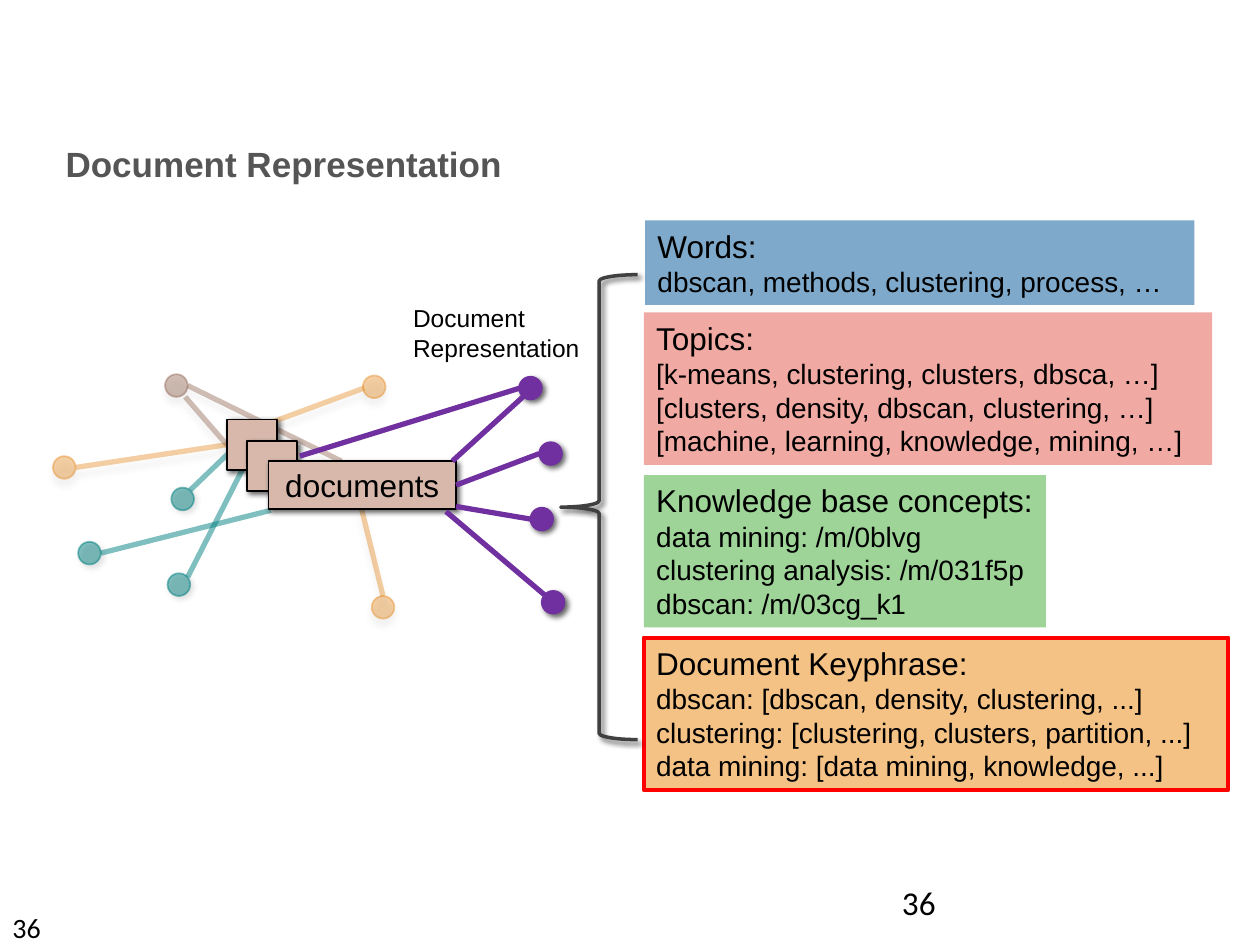
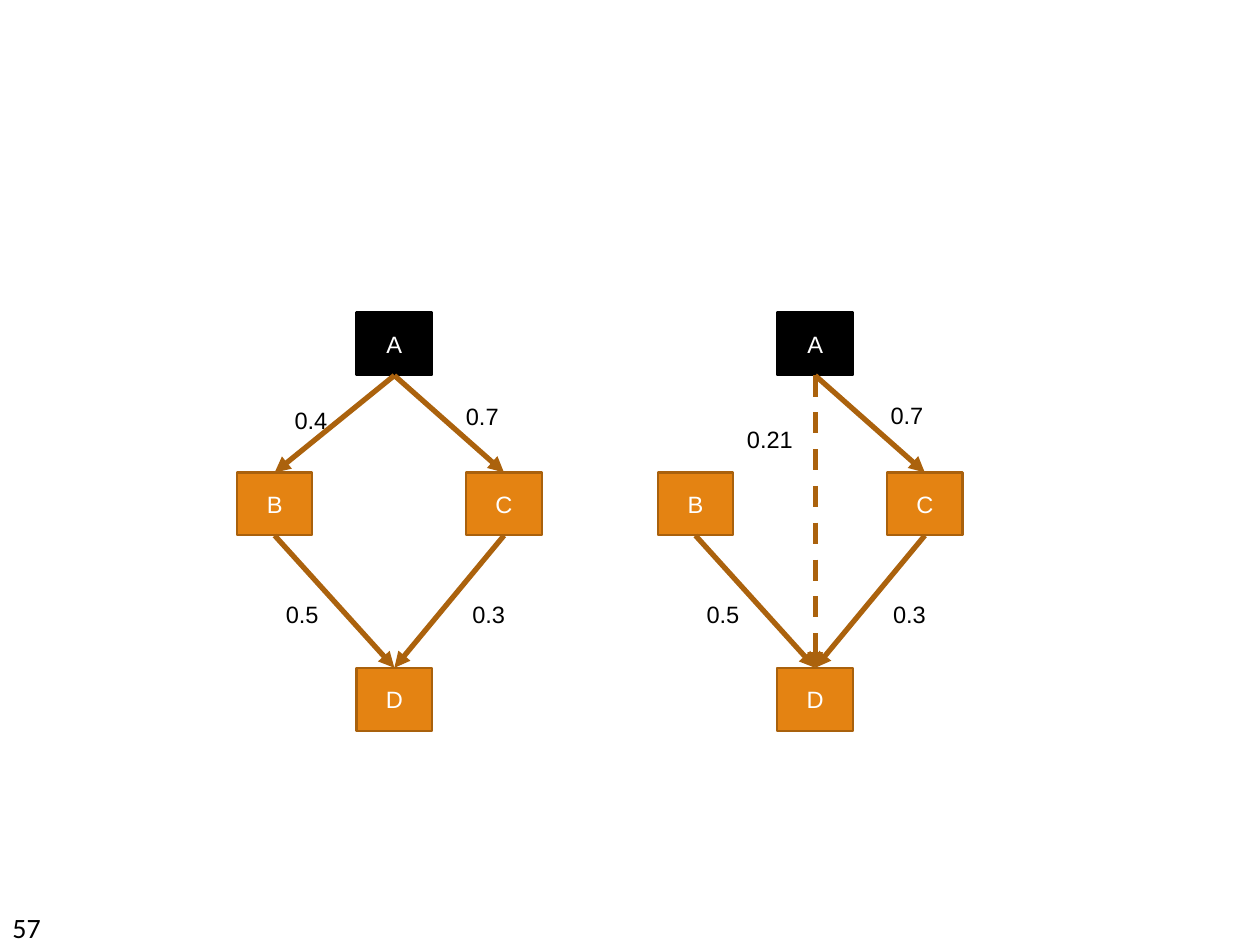
from lxml import etree
from pptx import Presentation
from pptx import util as u
from pptx.dml.color import RGBColor
from pptx.enum import dml, shapes, text
from pptx.oxml.ns import qn

BLACK, WHITE, GREY, RED = "000000", "FFFFFF", "555555", "FF0000"
ORANGE, ORANGE_EDGE, ORANGE_ARROW = "E48312", "A9610D", "AB620D"
TEAL, BROWN, PURPLE, SAND = "008080", "865640", "7030A0", "D7B8AB"
STRONG_SHADOW = (60, 3, 2, 45)
SOFT_SHADOW = (12, 4, 4, 90)
TEAL_SHADOW = (21, 3, 2, 45)
DOT = 0.18


def rgb(hex_color):
    return RGBColor.from_string(hex_color)


def write(frame, content, size=18, rest_size=None, color=BLACK, font="Arial", bold=False,
          align=text.PP_ALIGN.LEFT, anchor=text.MSO_ANCHOR.TOP, wrap=True):
    frame.auto_size = text.MSO_AUTO_SIZE.NONE
    frame.word_wrap = wrap
    frame.vertical_anchor = anchor
    for index, line in enumerate(content.split("\n")):
        paragraph = frame.paragraphs[0] if index == 0 else frame.add_paragraph()
        paragraph.alignment = align
        run = paragraph.add_run()
        run.text = line
        run.font.size = u.Pt(rest_size if index and rest_size else size)
        run.font.name = font
        run.font.bold = bold
        run.font.color.rgb = rgb(color)


class SlideBuilder:
    def __init__(self):
        self.deck = Presentation()
        self.deck.slide_width, self.deck.slide_height = u.Inches(10), u.Inches(7.5)
        self.slide = None

    def start(self, layout, page):
        self.slide = self.deck.slides.add_slide(self.deck.slide_layouts[layout])
        self.label(page, 0, 7.18, 0.48, 0.3, size=16, font="Calibri")

    def title(self, content, *place):
        heading = self.slide.shapes.title
        heading.left, heading.top, heading.width, heading.height = map(u.Inches, place)
        write(heading.text_frame, content, size=20, color=GREY, bold=True, wrap=False)

    def label(self, content, *place, **style):
        box = self.slide.shapes.add_textbox(*map(u.Inches, place))
        write(box.text_frame, content, **style)

    def finish(self, item, alphas, shadow):
        properties = item.element.spPr
        for color, alpha in zip(properties.iter(qn("a:srgbClr")), alphas):
            etree.SubElement(color, qn("a:alpha"), val=str(alpha * 1000))
        effects = properties.find(qn("a:effectLst"))
        if effects is None:
            effects = etree.SubElement(properties, qn("a:effectLst"))
        if shadow:
            opacity, blur, distance, angle = shadow
            outer = etree.SubElement(effects, qn("a:outerShdw"), blurRad=str(u.Pt(blur)),
                                     dist=str(u.Pt(distance)), dir=str(angle * 60000),
                                     rotWithShape="0")
            tint = etree.SubElement(outer, qn("a:srgbClr"), val=BLACK)
            etree.SubElement(tint, qn("a:alpha"), val=str(opacity * 1000))

    def shape(self, kind, *place, fill=None, line=None, width=1, alphas=(), shadow=None):
        item = self.slide.shapes.add_shape(kind, *map(u.Inches, place))
        item.shadow.inherit = False
        if fill:
            item.fill.solid()
            item.fill.fore_color.rgb = rgb(fill)
        else:
            item.fill.background()
        if line:
            item.line.color.rgb = rgb(line)
            item.line.width = u.Pt(width)
        else:
            item.line.fill.background()
        self.finish(item, alphas, shadow)
        return item

    def box(self, content, *place, size=18, color=BLACK, **look):
        item = self.shape(shapes.MSO_SHAPE.RECTANGLE, *place, **look)
        if content:
            write(item.text_frame, content, size=size, color=color,
                  align=text.PP_ALIGN.CENTER, anchor=text.MSO_ANCHOR.MIDDLE)

    def card(self, content, *place, **look):
        item = self.shape(shapes.MSO_SHAPE.RECTANGLE, *place, **look)
        item.text_frame.margin_right = 0
        write(item.text_frame, content, size=18, rest_size=16)

    def dot(self, left, top, color, alphas=(), shadow=STRONG_SHADOW):
        self.shape(shapes.MSO_SHAPE.OVAL, left, top, DOT, DOT, fill=color, line=color,
                   alphas=alphas, shadow=shadow)

    def line(self, start, end, color, alphas=(), shadow=None, dashed=False, arrow=False):
        item = self.slide.shapes.add_connector(shapes.MSO_CONNECTOR.STRAIGHT,
                                               *map(u.Inches, (*start, *end)))
        item.line.color.rgb = rgb(color)
        item.line.width = u.Pt(3)
        if dashed:
            item.line.dash_style = dml.MSO_LINE.DASH
        if arrow:
            etree.SubElement(item.element.spPr.find(qn("a:ln")), qn("a:tailEnd"), type="triangle")
        self.finish(item, alphas, shadow)


FADED_NETWORK = [
    (ORANGE, (38, 38), SOFT_SHADOW, SOFT_SHADOW,
     [(2.95, 4.73), (2.88, 2.98), (0.42, 3.62)],
     [((3.04, 4.73), (2.87, 4.04)), ((1.8, 3.53), (0.6, 3.71)), ((2.89, 3.08), (2.16, 3.35))]),
    (TEAL, (48, 50), TEAL_SHADOW, None,
     [(1.36, 3.87), (1.33, 4.55), (0.62, 4.3)],
     [((1.49, 4.58), (2.09, 3.4)), ((1.51, 3.89), (2.04, 3.38)), ((0.8, 4.39), (2.15, 4.05))]),
    (BROWN, (39, 39), SOFT_SHADOW, SOFT_SHADOW,
     [(1.31, 2.97)],
     [((1.47, 3.15), (1.8, 3.53)), ((1.49, 3.06), (2.71, 3.66))]),
]
REPRESENTATION_DOTS = [(4.12, 2.99), (4.28, 3.51), (4.21, 4.03), (4.3, 4.69)]
REPRESENTATION_LINES = [
    ((4.15, 3.15), (3.59, 3.66)),
    ((4.28, 3.6), (3.62, 3.85)),
    ((4.21, 4.12), (3.62, 4.02)),
    ((4.32, 4.72), (3.54, 4.06)),
    ((4.16, 3.07), (2.38, 3.62)),
]
REPRESENTATION_CARDS = [
    ("Words:\ndbscan, methods, clustering, process, …",
     (5.12, 1.75, 4.36, 0.67), dict(fill="7EA9CA")),
    ("Topics:\n[k-means, clustering, clusters, dbsca, …]\n"
     "[clusters, density, dbscan, clustering, …]\n[machine, learning, knowledge, mining, …]",
     (5.11, 2.48, 4.51, 1.21), dict(fill="F0AAA3")),
    ("Knowledge base concepts:\ndata mining: /m/0blvg\n"
     "clustering analysis: /m/031f5p\ndbscan: /m/03cg_k1",
     (5.11, 3.77, 3.19, 1.21), dict(fill="9ED498")),
    ("Document Keyphrase:\ndbscan: [dbscan, density, clustering, ...]\n"
     "clustering: [clustering, clusters, partition, ...]\n"
     "data mining: [data mining, knowledge, ...]",
     (5.11, 5.06, 4.64, 1.21), dict(fill="F3B56C", line=RED, width=2.25, alphas=(82,))),
]

NODE_WIDTH, NODE_HEIGHT, GRAPH_TOP = 0.6, 0.5, 2.48
NODES = {"A": (0.95, 0), "B": (0, 1.27), "C": (1.82, 1.27), "D": (0.95, 2.82)}
LOWER_EDGES = [("BD", "0.5", 0.29, 2.23), ("CD", "0.3", 1.77, 2.23)]
GRAPHS = [
    (1.88, [("AB", "0.4", 0.36, 0.69), ("AC", "0.7", 1.72, 0.66)] + LOWER_EDGES),
    (5.22, LOWER_EDGES + [("AD", "0.21", 0.61, 0.84), ("AC", "0.7", 1.75, 0.65)]),
]


def document_representation(builder):
    builder.start(5, "36")
    builder.label("36", 7.06, 6.95, 2.25, 0.4, size=19, font="Calibri")
    builder.title("Document Representation", 0.42, 1.08, 3.69, 0.44)
    for color, alphas, dot_shadow, line_shadow, dots, links in FADED_NETWORK:
        for place in dots:
            builder.dot(*place, color, alphas, dot_shadow)
        for start, end in links:
            builder.line(start, end, color, alphas[1:], line_shadow)
    for content, *place in [("", 1.8, 3.33, 0.4, 0.4), ("", 1.96, 3.5, 0.4, 0.4),
                            ("documents", 2.13, 3.66, 1.49, 0.38)]:
        builder.box(content, *place, fill=SAND, line=BLACK, shadow=STRONG_SHADOW)
    for content, place, look in REPRESENTATION_CARDS:
        builder.card(content, *place, **look)
    builder.shape(shapes.MSO_SHAPE.LEFT_BRACE, 4.45, 2.18, 0.61, 3.69, line="404040",
                  width=2, shadow=STRONG_SHADOW)
    for place in REPRESENTATION_DOTS:
        builder.dot(*place, PURPLE)
    for start, end in REPRESENTATION_LINES:
        builder.line(start, end, PURPLE)
    builder.label("Document\nRepresentation", 3.18, 2.36, 1.53, 0.57, size=14, wrap=False)


def weighted_graphs(builder):
    builder.start(6, "57")
    for graph_left, edges in GRAPHS:
        for name, (x, y) in NODES.items():
            fill, edge_color = (BLACK, BLACK) if name == "A" else (ORANGE, ORANGE_EDGE)
            builder.box(name, graph_left + x, GRAPH_TOP + y, NODE_WIDTH, NODE_HEIGHT,
                        size=13.5, color=WHITE, fill=fill, line=edge_color, width=1.25)
        center = graph_left + NODE_WIDTH / 2
        for (source, target), weight, x, y in edges:
            source_x, source_y = NODES[source]
            target_x, target_y = NODES[target]
            builder.line((center + source_x, GRAPH_TOP + source_y + NODE_HEIGHT),
                         (center + target_x, GRAPH_TOP + target_y),
                         ORANGE_ARROW, dashed=source + target == "AD", arrow=True)
            builder.label(weight, graph_left + x, GRAPH_TOP + y,
                          0.08 + 0.15 * len(weight), 0.33, size=13.5)


def main():
    builder = SlideBuilder()
    document_representation(builder)
    weighted_graphs(builder)
    builder.deck.save("out.pptx")


if __name__ == "__main__":
    main()
